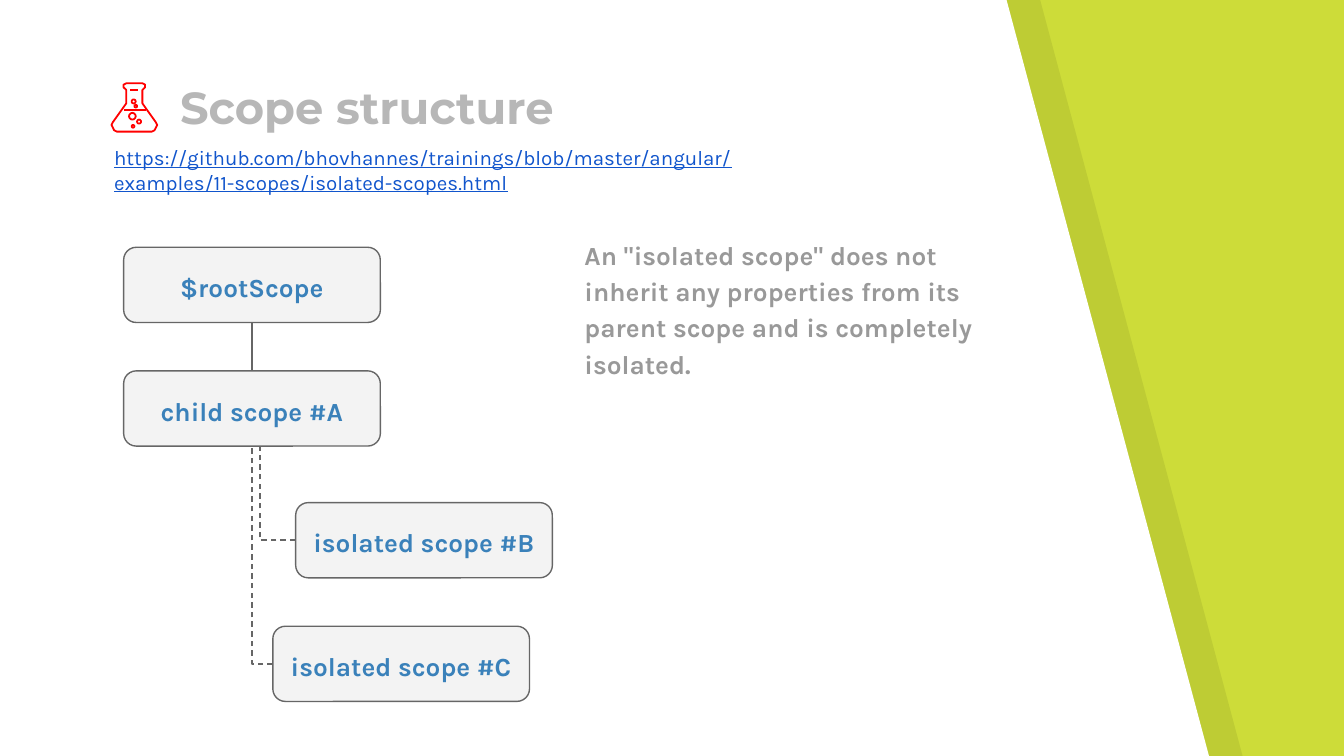
import pptx
import pptx.util
import pptx.dml.color
import pptx.enum.dml
import pptx.enum.shapes
import pptx.enum.text
import pptx.oxml
import pptx.oxml.ns

Inches, Pt = pptx.util.Inches, pptx.util.Pt
SHAPE = pptx.enum.shapes.MSO_SHAPE
CONNECTOR = pptx.enum.shapes.MSO_CONNECTOR
ANCHOR = pptx.enum.text.MSO_ANCHOR
ALIGN = pptx.enum.text.PP_ALIGN

W = 10
H = W * 9 / 16
COLORS = {"lime": "CDDC39", "white": "FFFFFF", "shade": "000000", "title": "B7B7B7",
          "link": "1155CC", "flask": "FF0000", "box": "F3F3F3", "edge": "666666",
          "label": "3A81BA", "note": "999999"}

TITLE = "Scope structure"
LINK = ("https://github.com/bhovhannes/trainings/blob/master/angular/"
        "examples/11-scopes/isolated-scopes.html")
NOTE = ('An "isolated scope" does not inherit any properties from its '
        "parent scope and is completely isolated.")
BOX_W, BOX_H = 1.91, 0.56
SCOPES = {"root": ("$rootScope", 0.92, 1.84), "A": ("child scope #A", 0.92, 2.76),
          "B": ("isolated scope #B", 2.2, 3.74), "C": ("isolated scope #C", 2.03, 4.66)}

PANELS = [(0.25, "shade", 7), (0, "white", 100)]
PANEL_TOP, PANEL_BOTTOM = -0.01, 5.64
FLASK_HALF = [(0.06, 0.62), (0.08, 0.63), (0.08, 0.65), (0.06, 0.67), (0.06, 0.77),
              (0.16, 0.91), (0.17, 0.93), (0.15, 0.97), (0.13, 0.98)]
FLASK_X = 1
FLASK_LINES = [(0.92, 1.09, 0.82), (0.97, 1.03, 0.67)]
BUBBLES = [(1.02, 0.89, 0.03), (0.96, 0.84, 0.05), (0.98, 0.93, 0.02),
           (1, 0.78, 0.02), (0.98, 0.74, 0.03)]

FONTS = {
    "title": {"size": Pt(24), "name": "Montserrat", "bold": True},
    "link": {"size": Pt(11), "name": "Karla", "underline": True},
    "label": {"size": Pt(14), "name": "Karla", "bold": True},
    "note": {"size": Pt(14), "name": "Karla", "bold": True},
}


def rgb(name):
    return pptx.dml.color.RGBColor.from_string(COLORS[name])


def paint(shape, fill=None, line=None, width=0.75):
    shape.shadow.inherit = False
    if fill:
        shape.fill.solid()
        shape.fill.fore_color.rgb = rgb(fill)
    else:
        shape.fill.background()
    if line:
        shape.line.color.rgb = rgb(line)
        shape.line.width = Pt(width)
    else:
        shape.line.fill.background()


def write(shape, text, style, anchor=ANCHOR.TOP, align=ALIGN.LEFT, spacing=1.0):
    tf = shape.text_frame
    frame = {"word_wrap": True, "auto_size": pptx.enum.text.MSO_AUTO_SIZE.NONE,
             "vertical_anchor": anchor}
    frame.update({f"margin_{side}": Inches(0.1) for side in ("left", "right", "top", "bottom")})
    for key, value in frame.items():
        setattr(tf, key, value)
    p = tf.paragraphs[0]
    p.alignment, p.line_spacing, p.space_before = align, spacing, Pt(0)
    r = p.add_run()
    r.text = text
    for key, value in FONTS[style].items():
        setattr(r.font, key, value)
    r.font.color.rgb = rgb(style)


def outline(s, points):
    points = [(Inches(x), Inches(y)) for x, y in points]
    builder = s.shapes.build_freeform(*points[0])
    builder.add_line_segments(points[1:], close=True)
    return builder.convert_to_shape()


def connect(s, kind, start, end, color, width=0.75):
    line = s.shapes.add_connector(kind, *(Inches(v) for v in (*start, *end)))
    line.line.color.rgb = rgb(color)
    line.line.width = Pt(width)
    line._element.spPr.append(pptx.oxml.parse_xml(
        f"<a:effectLst {pptx.oxml.ns.nsdecls('a')}/>"))
    return line


def bend(s, start, end):
    line = connect(s, CONNECTOR.ELBOW, start, end, "edge")
    line.line.dash_style = pptx.enum.dml.MSO_LINE.DASH
    line._element.spPr.find(pptx.oxml.ns.qn("a:prstGeom")).set("prst", "bentConnector2")


def add_text(s, left, top, width, height, text, style, spacing=1.0):
    box = s.shapes.add_textbox(*(Inches(v) for v in (left, top, width, height)))
    write(box, text, style, spacing=spacing)


def add_panels(s):
    for left, color, alpha in PANELS:
        panel = outline(s, [(left, PANEL_TOP), (left, PANEL_BOTTOM),
                            (left + 9, PANEL_BOTTOM), (left + 7.49, 0)])
        paint(panel, color)
        if alpha < 100:
            clr = panel._element.spPr.find(".//" + pptx.oxml.ns.qn("a:srgbClr"))
            clr.append(pptx.oxml.parse_xml(
                f"<a:alpha {pptx.oxml.ns.nsdecls('a')} val='{alpha * 1000}'/>"))


def add_flask(s):
    right = [(FLASK_X + dx, y) for dx, y in FLASK_HALF]
    left = [(FLASK_X - dx, y) for dx, y in reversed(FLASK_HALF)]
    paint(outline(s, right + left), line="flask", width=0.96)
    for x1, x2, y in FLASK_LINES:
        connect(s, CONNECTOR.STRAIGHT, (x1, y), (x2, y), "flask", 0.96)
    for x, y, d in BUBBLES:
        bubble = s.shapes.add_shape(SHAPE.OVAL, *(Inches(v) for v in (x, y, d, d)))
        paint(bubble, line="flask", width=0.96)


def add_scopes(s):
    boxes = {}
    for key, (text, left, top) in SCOPES.items():
        box = s.shapes.add_shape(SHAPE.ROUNDED_RECTANGLE,
                                 *(Inches(v) for v in (left, top, BOX_W, BOX_H)))
        paint(box, "box", "edge")
        write(box, text, "label", ANCHOR.MIDDLE, ALIGN.CENTER, 1.15)
        boxes[key] = box

    center = SCOPES["A"][1] + BOX_W / 2
    bottom = SCOPES["A"][2] + BOX_H
    trunk = connect(s, CONNECTOR.STRAIGHT, (center, SCOPES["A"][2]),
                    (center, SCOPES["root"][2] + BOX_H), "edge")
    trunk.begin_connect(boxes["A"], 0)
    trunk.end_connect(boxes["root"], 2)
    for key, shift in (("B", 0.06), ("C", 0)):
        _, left, top = SCOPES[key]
        bend(s, (left, top + BOX_H / 2), (center + shift, bottom))


def main():
    prs = pptx.Presentation()
    prs.slide_width, prs.slide_height = Inches(W), Inches(H)
    s = prs.slides.add_slide(prs.slide_layouts[5])
    s.background.fill.solid()
    s.background.fill.fore_color.rgb = rgb("lime")

    add_panels(s)
    title = s.shapes.title
    place = {"left": 1.24, "top": 0.64, "width": 6.15, "height": 0.45}
    for key, value in place.items():
        setattr(title, key, Inches(value))
    write(title, TITLE, "title", ANCHOR.BOTTOM)
    s.shapes._spTree.append(title._element)

    add_text(s, 0.75, 0.98, 5.51, 0.61, LINK, "link")
    add_flask(s)
    add_scopes(s)
    add_text(s, 4.25, 1.65, 3.48, 1.36, NOTE, "note", 1.15)
    prs.save("out.pptx")


if __name__ == "__main__":
    main()
